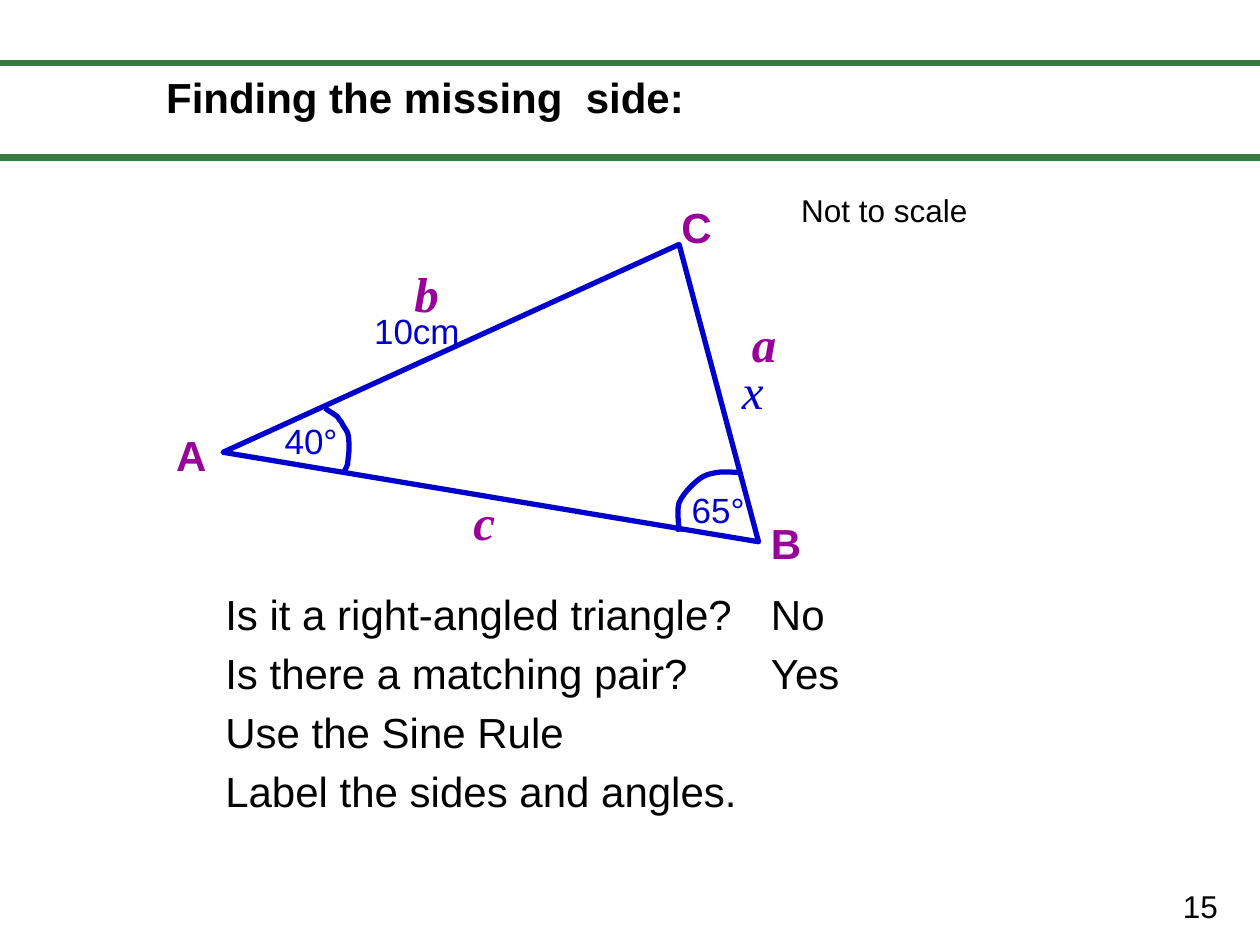
from lxml.etree import SubElement
from pptx import Presentation
from pptx.dml.color import RGBColor
from pptx.enum.shapes import MSO_CONNECTOR
from pptx.oxml.ns import qn
from pptx.util import Inches, Pt

BLACK, BLUE, PURPLE, GREEN = "000000", "0000CC", "990099", "377940"
SERIF = "Times New Roman"
CURVE_STEPS = 6

TRIANGLE = [(1.77, 3.59), (5.39, 1.94), (6.02, 4.3)]
ANGLE_A = [
    (2.58, 3.24),
    (2.59, 3.25), (2.64, 3.28), (2.67, 3.3),
    (2.69, 3.32), (2.69, 3.33), (2.71, 3.35),
    (2.72, 3.38), (2.75, 3.41), (2.76, 3.44),
    (2.77, 3.48), (2.77, 3.52), (2.77, 3.56),
    (2.77, 3.6), (2.76, 3.65), (2.76, 3.68),
    (2.75, 3.71), (2.74, 3.73), (2.73, 3.74),
]
ANGLE_B = [
    (5.87, 3.75),
    (5.84, 3.75), (5.74, 3.74), (5.69, 3.75),
    (5.63, 3.76), (5.59, 3.77), (5.54, 3.81),
    (5.49, 3.85), (5.42, 3.92), (5.39, 3.99),
    (5.37, 4.05), (5.39, 4.18), (5.39, 4.22),
]
VERTICES = [("A", 1.3, 3.36), ("B", 6.02, 4.06), ("C", 5.31, 1.55)]
SIDES = [("a", 5.87, 2.44, 0.4), ("b", 3.19, 2.04, 0.4), ("c", 3.66, 3.85, 0.37)]
MEASURES = [("10cm", 2.87, 2.41), ("65°", 5.39, 3.83), ("40°", 2.16, 3.28)]
STEPS = [
    ("Is it a right-angled triangle?", "No"),
    ("Is there a matching pair?", "Yes"),
    ("Use the Sine Rule", None),
    ("Label the sides and angles.", None),
]


def color(value):
    return RGBColor.from_string(value)


def add_text(page, text, left, top, width, height, size, ink=BLACK,
             name="Arial", bold=False, italic=False, wrap=True):
    box = page.shapes.add_textbox(Inches(left), Inches(top), Inches(width), Inches(height))
    box.text_frame.word_wrap = wrap
    para = box.text_frame.paragraphs[0]
    para.text = text
    font = para.font
    font.name, font.size, font.bold, font.italic = name, Pt(size), bold, italic
    font.color.rgb = color(ink)


def add_rule(page, top):
    rule = page.shapes.add_connector(
        MSO_CONNECTOR.STRAIGHT, 0, Inches(top), Inches(10), Inches(top))
    rule.line.color.rgb = color(GREEN)
    rule.line.width = Pt(4)
    SubElement(rule._element.spPr, qn("a:effectLst"))


def add_outline(page, points, close):
    start, *rest = [(Inches(x), Inches(y)) for x, y in points]
    builder = page.shapes.build_freeform(*start)
    builder.add_line_segments(rest, close=close)
    outline = builder.convert_to_shape()
    outline.shadow.inherit = False
    outline.fill.background()
    outline.line.color.rgb = color(BLUE)
    outline.line.width = Pt(3)
    SubElement(outline.line._get_or_add_ln(), qn("a:round"))


def curve_points(controls):
    points = [controls[0]]
    for first in range(0, len(controls) - 1, 3):
        segment = controls[first:first + 4]
        for step in range(1, CURVE_STEPS + 1):
            t = step / CURVE_STEPS
            weights = ((1 - t) ** 3, 3 * t * (1 - t) ** 2, 3 * t ** 2 * (1 - t), t ** 3)
            points.append(tuple(
                sum(weight * point[axis] for weight, point in zip(weights, segment))
                for axis in (0, 1)))
    return points


def add_triangle(page):
    add_outline(page, TRIANGLE, close=True)
    for controls in (ANGLE_A, ANGLE_B):
        add_outline(page, curve_points(controls), close=False)
    for text, left, top in MEASURES:
        add_text(page, text, left, top, 1.02, 0.43, 20, BLUE)
    for text, left, top in VERTICES:
        add_text(page, text, left, top, 0.55, 0.5, 24, PURPLE, bold=True)
    for text, left, top, width in SIDES:
        add_text(page, text, left, top, width, 0.57, 28, PURPLE, SERIF,
                 bold=True, italic=True, wrap=False)
    add_text(page, "x", 5.79, 2.81, 1.02, 0.57, 28, BLUE, SERIF, italic=True)


def add_steps(page):
    for row, (step, answer) in enumerate(STEPS):
        top = 4.62 + 0.47 * row
        add_text(page, step, 1.69, top, 4.5, 0.5, 24)
        if answer:
            add_text(page, answer, 6.02, top, 0.79, 0.5, 24)


def main():
    deck = Presentation()
    deck.slide_width, deck.slide_height = Inches(10), Inches(7.5)
    page = deck.slides.add_slide(deck.slide_layouts[6])
    for top in (0.5, 1.25):
        add_rule(page, top)
    add_text(page, "Finding the missing  side:", 1.22, 0.52, 5.12, 0.5, 24, bold=True)
    add_text(page, "Not to scale", 6.26, 1.47, 1.81, 0.4, 18)
    add_triangle(page)
    add_steps(page)
    add_text(page, "15", 9.29, 6.99, 0.71, 0.4, 18)
    deck.save("out.pptx")


if __name__ == "__main__":
    main()
